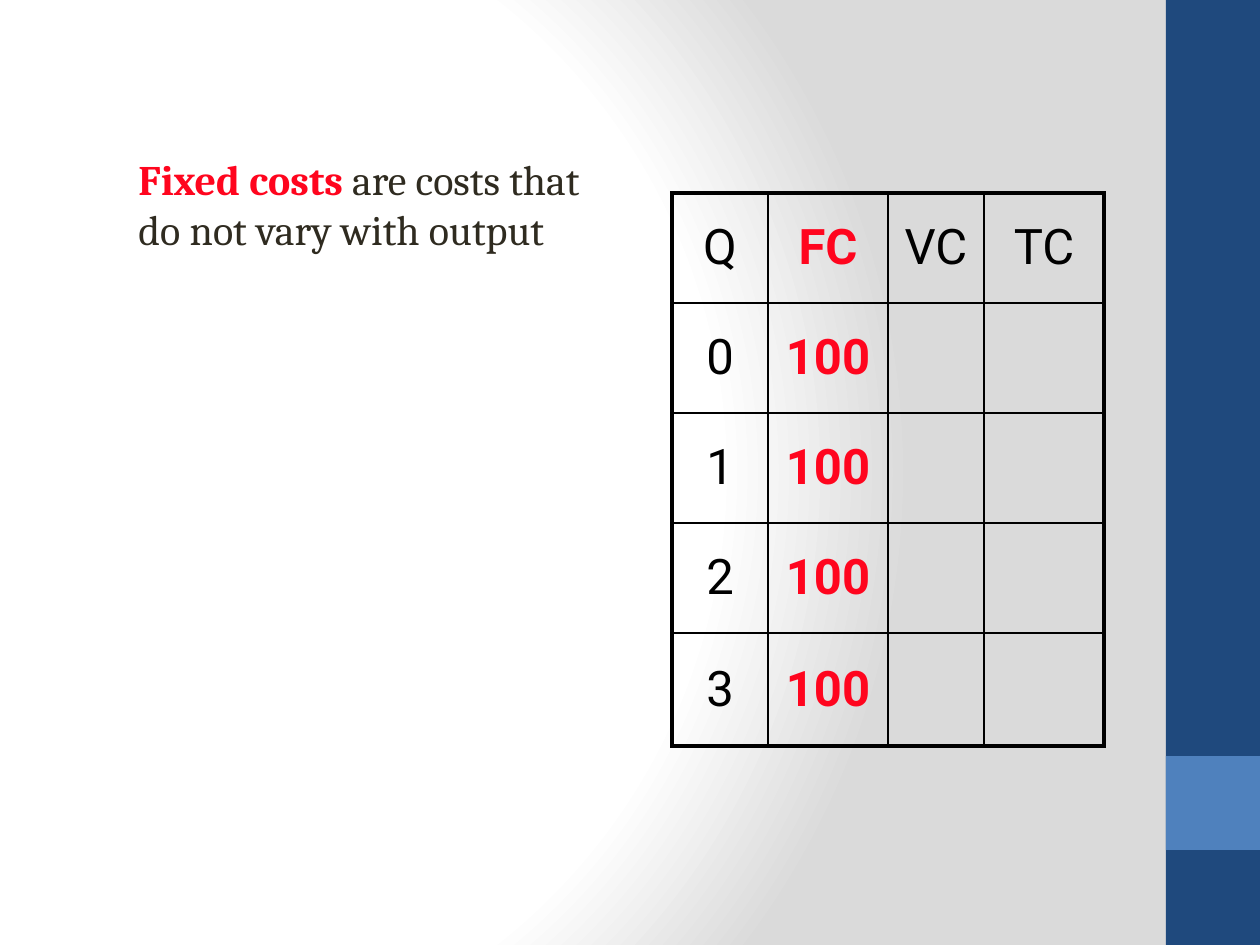
import pptx
import pptx.dml.color
import pptx.enum.shapes
import pptx.enum.text
import pptx.oxml
import pptx.oxml.ns
import pptx.util

RGB = pptx.dml.color.RGBColor
NAVY = RGB(0x1F, 0x49, 0x7D)
BLUE = RGB(0x4F, 0x81, 0xBD)
RED = RGB(0xFF, 0x05, 0x1E)
INK = RGB(0x2F, 0x2B, 0x20)
BLACK = RGB(0, 0, 0)
WHITE = RGB(0xFF, 0xFF, 0xFF)
GREY = RGB(0xDA, 0xDA, 0xDA)
NS = pptx.oxml.ns.nsdecls("a")
BODY = {"name": "Cambria", "size": pptx.util.Pt(24), "bold": False}
CELL = {"name": "Roboto", "size": pptx.util.Pt(28), "bold": False}


def px(n):
    return pptx.util.Emu(n * 914400 // 126)


class Deck:
    """Slide builder that works in pixels and keeps the slide's style."""

    def __init__(self, width, height):
        self.prs = pptx.Presentation()
        self.prs.slide_width, self.prs.slide_height = px(width), px(height)
        self.slide = self.prs.slides.add_slide(self.prs.slide_layouts[6])

    def background(self, stops, focus):
        self.slide.background.fill.gradient()
        grad = next(self.slide.element.iter(pptx.oxml.ns.qn("a:gradFill")))
        gs = "".join(
            f'<a:gs pos="{pos * 1000}"><a:srgbClr val="{color}"/></a:gs>'
            for pos, color in stops)
        sides = " ".join(f'{k}="{v * 1000}"' for k, v in zip("ltrb", focus))
        grad.getparent().replace(grad, pptx.oxml.parse_xml(
            f'<a:gradFill {NS} rotWithShape="1"><a:gsLst>{gs}</a:gsLst>'
            f'<a:path path="circle"><a:fillToRect {sides}/></a:path></a:gradFill>'))

    def rect(self, box, color):
        sp = self.slide.shapes.add_shape(
            pptx.enum.shapes.MSO_SHAPE.RECTANGLE, *map(px, box))
        sp.shadow.inherit = False
        sp.fill.solid()
        sp.fill.fore_color.rgb = color
        sp.line.fill.background()

    def run(self, p, text, color, style):
        r = p.add_run()
        r.text = text
        r.font.color.rgb = color
        for name, value in style.items():
            setattr(r.font, name, value)

    def text(self, box, runs):
        tf = self.slide.shapes.add_textbox(*map(px, box)).text_frame
        tf.word_wrap = True
        tf.auto_size = pptx.enum.text.MSO_AUTO_SIZE.SHAPE_TO_FIT_TEXT
        for text, color, extra in runs:
            self.run(tf.paragraphs[0], text, color, {**BODY, **extra})

    def borders(self, cell, widths):
        tc_pr = cell._tc.get_or_add_tcPr()
        for i, (side, width) in enumerate(widths.items()):
            tc_pr.insert(i, pptx.oxml.parse_xml(
                f'<a:ln{side} {NS} w="{int(width * 12700)}"><a:solidFill>'
                f'<a:srgbClr val="{BLACK}"/></a:solidFill></a:ln{side}>'))

    def table(self, left, top, cols, rows, data, red_col):
        table = self.slide.shapes.add_table(
            len(rows), len(cols), px(left), px(top),
            px(sum(cols)), px(sum(rows))).table
        table.first_row = table.horz_banding = False
        for column, width in zip(table.columns, cols):
            column.width = px(width)
        for row, height in zip(table.rows, rows):
            row.height = px(height)
        for i, values in enumerate(data):
            for j, value in enumerate(values):
                cell = table.cell(i, j)
                cell.fill.background()
                cell.vertical_anchor = pptx.enum.text.MSO_ANCHOR.MIDDLE
                edges = {"L": j == 0, "R": j == len(cols) - 1,
                         "T": i == 0, "B": i == len(rows) - 1}
                self.borders(cell, {k: 2.25 if e else 1 for k, e in edges.items()})
                if value:
                    p = cell.text_frame.paragraphs[0]
                    p.alignment = pptx.enum.text.PP_ALIGN.CENTER
                    hot = j == red_col
                    self.run(p, value, RED if hot else BLACK, {**CELL, "bold": hot})


deck = Deck(1260, 945)
deck.background([(0, WHITE), (75, WHITE), (100, GREY)], (20, 50, 100, 50))
deck.rect((1166, 0, 94, 945), NAVY)
deck.rect((1166, 756, 94, 94), BLUE)
deck.text((126, 147, 504, 113), [
    ("Fixed costs", RED, {"bold": True}),
    (" are costs that do not vary with output", INK, {})])
costs = [["Q", "FC", "VC", "TC"]] + [[str(q), "100", "", ""] for q in range(4)]
deck.table(672, 193, [96, 120, 96, 120], [110] * 4 + [113], costs, red_col=1)
deck.prs.save("out.pptx")
